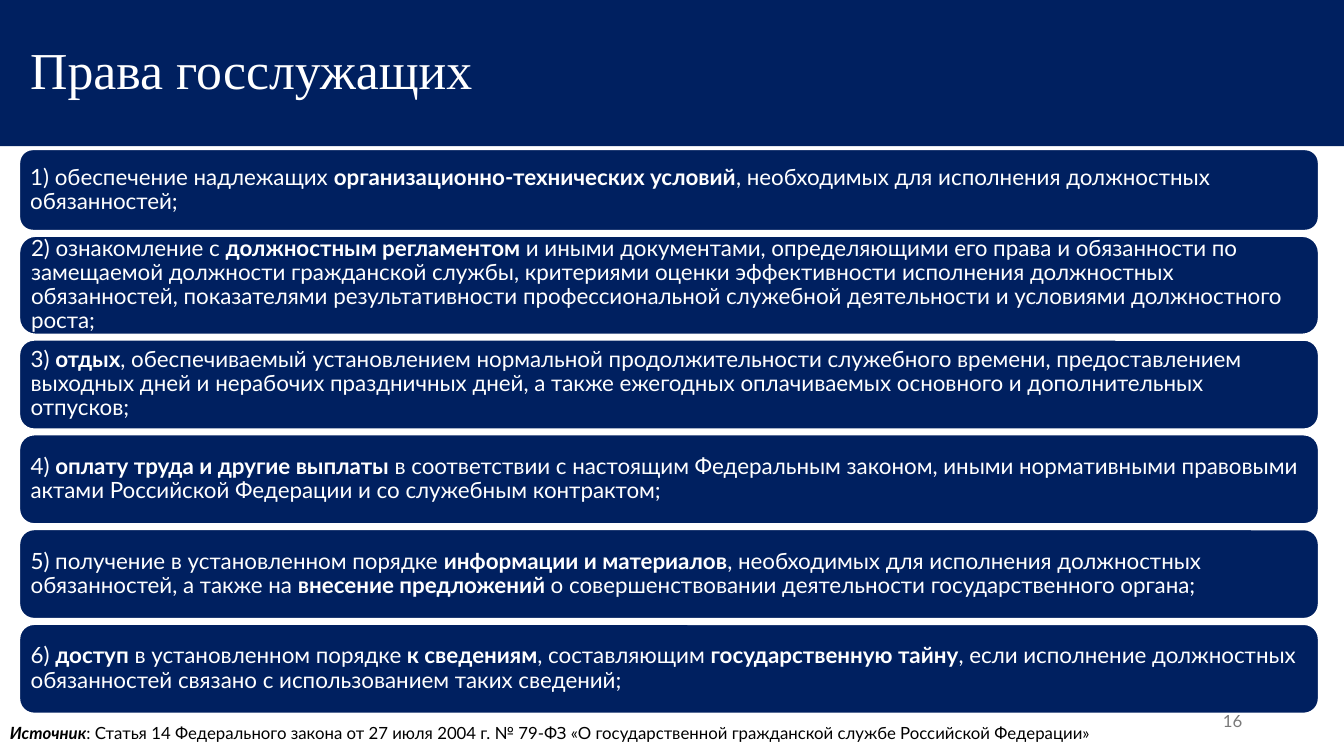
from dataclasses import dataclass

from pptx import Presentation
from pptx.dml.color import RGBColor
from pptx.enum.shapes import MSO_SHAPE
from pptx.enum.text import MSO_ANCHOR, MSO_AUTO_SIZE, PP_ALIGN
from pptx.util import Inches, Pt

NAVY = RGBColor(0x00, 0x20, 0x60)
WHITE = RGBColor(0xFF, 0xFF, 0xFF)
BLACK = RGBColor(0x00, 0x00, 0x00)
GREY = RGBColor(0x79, 0x79, 0x79)
BODY_FONT = "Lato"
TITLE_FONT = "Times New Roman"

ROUND_RECT = MSO_SHAPE.ROUNDED_RECTANGLE
MIDDLE = MSO_ANCHOR.MIDDLE
TOP = MSO_ANCHOR.TOP
LEFT = PP_ALIGN.LEFT
RIGHT = PP_ALIGN.RIGHT
NO_AUTOFIT = MSO_AUTO_SIZE.NONE

TITLE_ONLY = 5
SLIDE_W = 13.33
CARD_LEFT, CARD_TOP, CARD_W, CARD_GAP = 0.19, 1.48, 12.89, 0.05
CARD_INSET = 0.07


@dataclass(frozen=True)
class Span:
    text: str
    bold: bool = False
    italic: bool = False


@dataclass(frozen=True)
class Right:
    spans: tuple[Span, ...]
    height: float = 0.89


RIGHTS = (
    Right((
        Span("1) обеспечение надлежащих "),
        Span("организационно-технических условий", True),
        Span(", необходимых для исполнения должностных обязанностей;"),
    ), 0.81),
    Right((
        Span("2) ознакомление с "),
        Span("должностным регламентом ", True),
        Span("и иными документами, определяющими его права и обязанности "
             "по замещаемой должности гражданской службы, критериями оценки "
             "эффективности исполнения должностных обязанностей, показателями "
             "результативности профессиональной служебной деятельности "
             "и условиями должностного роста;"),
    ), 0.98),
    Right((
        Span("3) "),
        Span("отдых", True),
        Span(", обеспечиваемый установлением нормальной продолжительности "
             "служебного времени, предоставлением выходных дней и нерабочих "
             "праздничных дней, а также ежегодных оплачиваемых основного "
             "и дополнительных отпусков;"),
    )),
    Right((
        Span("4) "),
        Span("оплату труда и другие выплаты ", True),
        Span("в соответствии с настоящим Федеральным законом, иными "
             "нормативными правовыми актами Российской Федерации "
             "и со служебным контрактом;"),
    )),
    Right((
        Span("5) получение в установленном порядке "),
        Span("информации и материалов", True),
        Span(", необходимых для исполнения должностных обязанностей, "
             "а также на "),
        Span("внесение предложений ", True),
        Span("о совершенствовании деятельности государственного органа;"),
    )),
    Right((
        Span("6) "),
        Span("доступ", True),
        Span(" в установленном порядке"),
        Span(" к сведениям", True),
        Span(", составляющим "),
        Span("государственную тайну", True),
        Span(", если исполнение должностных обязанностей связано "
             "с использованием таких сведений;"),
    )),
)

SOURCE = (
    Span("Источник", True, True),
    Span(": Статья 14 Федерального закона от 27 июля 2004 г. № 79-ФЗ "
         "«О государственной гражданской службе Российской Федерации»"),
)


def write(sp, spans: tuple[Span, ...], size: float, color: RGBColor,
          font: str = BODY_FONT, align: PP_ALIGN = LEFT,
          anchor: MSO_ANCHOR = MIDDLE, spacing: float = 1.0):
    """Fill the shape with one paragraph and return that paragraph."""
    tf = sp.text_frame
    tf.word_wrap = True
    tf.auto_size = NO_AUTOFIT
    tf.vertical_anchor = anchor
    p = tf.paragraphs[0]
    p.alignment = align
    p.line_spacing = spacing
    for span in spans:
        r = p.add_run()
        r.text = span.text
        r.font.name = font
        r.font.size = Pt(size)
        r.font.bold = span.bold
        r.font.italic = span.italic
        r.font.color.rgb = color
    return p


def add_card(slide, right: Right, top: float) -> None:
    sp = slide.shapes.add_shape(ROUND_RECT, Inches(CARD_LEFT), Inches(top),
                                Inches(CARD_W), Inches(right.height))
    sp.shadow.inherit = False
    sp.fill.solid()
    sp.fill.fore_color.rgb = NAVY
    sp.line.color.rgb = WHITE
    sp.line.width = Pt(1.5)
    tf = sp.text_frame
    tf.margin_left = tf.margin_right = Inches(CARD_INSET)
    tf.margin_top = tf.margin_bottom = Inches(CARD_INSET)
    write(sp, right.spans, 16, WHITE, spacing=0.9)


def add_title(slide, text: str) -> None:
    sp = slide.shapes.title
    sp.left, sp.top = Inches(0), Inches(0)
    sp.width, sp.height = Inches(SLIDE_W), Inches(1.45)
    sp.fill.solid()
    sp.fill.fore_color.rgb = NAVY
    p = write(sp, (Span(text),), 37, WHITE, TITLE_FONT, spacing=0.9)
    pPr = p._p.get_or_add_pPr()
    pPr.set("marL", "0")
    pPr.set("indent", str(Inches(0.2)))


def main() -> None:
    prs = Presentation()
    prs.slide_width, prs.slide_height = Inches(SLIDE_W), Inches(7.5)
    slide = prs.slides.add_slide(prs.slide_layouts[TITLE_ONLY])

    # Title band
    add_title(slide, "Права госслужащих")

    # Slide number and source
    number = slide.shapes.add_textbox(Inches(9.42), Inches(6.95),
                                      Inches(3), Inches(0.4))
    write(number, (Span("16"),), 12, GREY, align=RIGHT)
    source = slide.shapes.add_textbox(Inches(0), Inches(7.12),
                                      Inches(SLIDE_W), Inches(0.3))
    write(source, SOURCE, 12, BLACK, anchor=TOP)

    # Stack of rights
    top = CARD_TOP
    for right in RIGHTS:
        add_card(slide, right, top)
        top += right.height + CARD_GAP

    prs.save("out.pptx")


if __name__ == "__main__":
    main()
